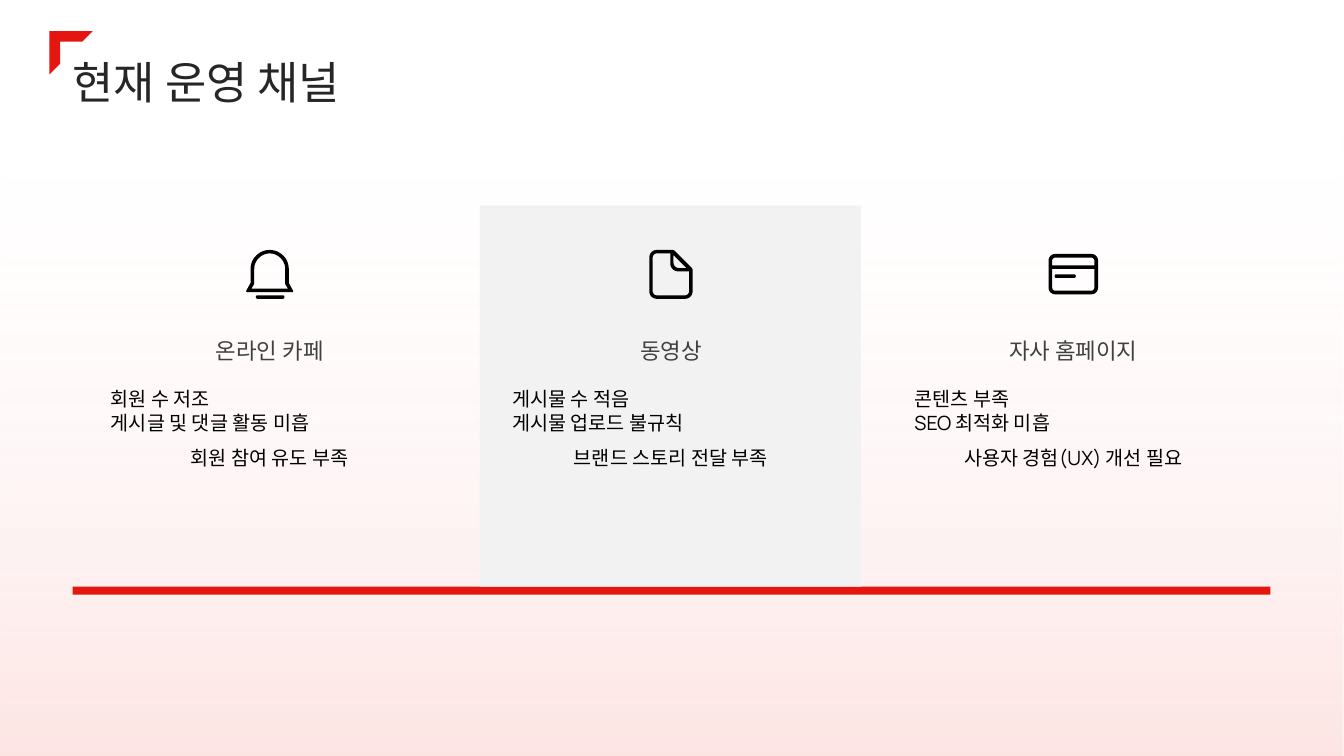
from dataclasses import dataclass
from math import hypot
from typing import Any, NamedTuple

from lxml import etree
from pptx import Presentation
from pptx.dml.color import RGBColor
from pptx.enum.shapes import MSO_SHAPE
from pptx.enum.text import MSO_ANCHOR, MSO_AUTO_SIZE, PP_ALIGN
from pptx.oxml.ns import qn
from pptx.util import Pt

PX = 9144
ICON_UNITS_PER_PX = 10
CURVE_STEPS = 12
CURVE_PULL = 0.55
TITLE_ONLY_LAYOUT = 5
RECTANGLE = MSO_SHAPE.RECTANGLE
HALF_FRAME = MSO_SHAPE.HALF_FRAME
TOP, MIDDLE = MSO_ANCHOR.TOP, MSO_ANCHOR.MIDDLE
LEFT, CENTER = PP_ALIGN.LEFT, PP_ALIGN.CENTER
NO_AUTOFIT = MSO_AUTO_SIZE.NONE


@dataclass(frozen=True)
class Theme:
    font: str = "Manrope"
    title_size: int = 32
    name_size: int = 16
    body_size: int = 14
    accent: str = "E5160F"
    panel: str = "F2F2F2"
    glow: str = "FCCFCD"
    white: str = "FFFFFF"
    black: str = "000000"
    title_color: str = "262626"
    name_color: str = "404040"


THEME = Theme()


class Area(NamedTuple):
    left: int
    top: int
    width: int
    height: int


class Corner(NamedTuple):
    x: int
    y: int
    radius: int = 0


class Line(NamedTuple):
    text: str
    size: int
    color: str
    align: Any
    spacing: float


@dataclass(frozen=True)
class Channel:
    name: str
    issues: tuple[str, ...]
    icon_left: int
    icon_top: int
    contours: list[list[Corner]]


PAGE = Area(0, 0, 1333, 750)
TITLE = Area(72, 53, 1188, 51)
TITLE_MARK = Area(49, 31, 43, 43)
BASE_BAR = Area(72, 582, 1188, 8)
PANEL = Area(476, 204, 378, 378)
FIRST_COLUMN, COLUMN_WIDTH, TWO_COLUMN_STEPS = 110, 315, 797
NAME_TOP, NAME_HEIGHT = 306, 79
ISSUES_TOP, ISSUES_HEIGHT = 384, 179


def rounded_box(left: int, top: int, right: int, bottom: int, radius: int) -> list[Corner]:
    return [Corner(x, y, radius) for x, y in
            ((left, top), (right, top), (right, bottom), (left, bottom))]


BELL = [
    rounded_box(98, 450, 382, 485, 17),
    [Corner(82, 35, 153), Corner(388, 35, 153), Corner(388, 338, 10),
     Corner(418, 385), Corner(52, 385), Corner(82, 338, 10)],
    [Corner(45, 0, 190), Corner(425, 0, 190), Corner(425, 328),
     Corner(476, 420, 22), Corner(-6, 420, 22), Corner(45, 328)],
]
SHEET = [
    [Corner(0, 0, 75), Corner(243, 0, 14), Corner(430, 187, 14),
     Corner(430, 485, 75), Corner(0, 485, 75)],
    [Corner(240, 52), Corner(370, 180), Corner(240, 180, 55)],
    [Corner(34, 34, 42), Corner(208, 34), Corner(208, 213, 80),
     Corner(395, 213), Corner(395, 451, 42), Corner(34, 451, 42)],
]
CARD = [
    rounded_box(60, 202, 270, 238, 17),
    [Corner(36, 148), Corner(454, 148), Corner(454, 364, 30), Corner(36, 364, 30)],
    [Corner(36, 36, 30), Corner(454, 36, 30), Corner(454, 112), Corner(36, 112)],
    rounded_box(0, 0, 490, 400, 65),
]

CHANNELS = [
    Channel("온라인 카페", ("회원 수 저조", "게시글 및 댓글 활동 미흡", "회원 참여 유도 부족"),
            244, 248, BELL),
    Channel("동영상", ("게시물 수 적음", "게시물 업로드 불규칙", "브랜드 스토리 전달 부족"),
            644, 248, SHEET),
    Channel("자사 홈페이지", ("콘텐츠 부족", "SEO 최적화 미흡", "사용자 경험(UX) 개선 필요"),
            1040, 252, CARD),
]


def apply(target: Any, values: dict[str, Any]) -> None:
    for name, value in values.items():
        setattr(target, name, value)


def emu(area: Area) -> list[int]:
    return [length * PX for length in area]


def paint(shape: Any, color: str) -> None:
    shape.shadow.inherit = False
    shape.line.fill.background()
    shape.fill.solid()
    shape.fill.fore_color.rgb = RGBColor.from_string(color)


def add_block(page: Any, kind: Any, area: Area, color: str) -> Any:
    shape = page.shapes.add_shape(kind, *emu(area))
    paint(shape, color)
    return shape


def add_backdrop(page: Any) -> None:
    shape = add_block(page, RECTANGLE, PAGE, THEME.white)
    shape.fill.gradient()
    shape.fill.gradient_angle = 90
    stops = ((0, THEME.glow), (0.88, THEME.white))
    for stop, (position, color) in zip(shape.fill.gradient_stops, stops):
        stop.position = position
        stop.color.rgb = RGBColor.from_string(color)
    for color_node, opacity in zip(shape.element.iter(qn("a:srgbClr")), (54000, 0)):
        etree.SubElement(color_node, qn("a:alpha")).set("val", str(opacity))


def write_lines(frame: Any, lines: list[Line], anchor: Any) -> None:
    apply(frame, {"word_wrap": True, "auto_size": NO_AUTOFIT, "vertical_anchor": anchor,
                  "margin_left": 0, "margin_top": 0, "margin_right": 0, "margin_bottom": 0})
    for index, line in enumerate(lines):
        para = frame.add_paragraph() if index else frame.paragraphs[0]
        apply(para, {"alignment": line.align, "line_spacing": line.spacing})
        span = para.add_run()
        span.text = line.text
        apply(span.font, {"name": THEME.font, "size": Pt(line.size)})
        span.font.color.rgb = RGBColor.from_string(line.color)


def add_text(page: Any, area: Area, lines: list[Line], anchor: Any) -> None:
    box = page.shapes.add_textbox(*emu(area))
    write_lines(box.text_frame, lines, anchor)


def toward(start: Corner, end: Corner, distance: float) -> tuple[float, float]:
    share = distance / hypot(end.x - start.x, end.y - start.y)
    return start.x + (end.x - start.x) * share, start.y + (end.y - start.y) * share


def outline(corners: list[Corner]) -> list[tuple[float, float]]:
    points: list[tuple[float, float]] = []
    for index, corner in enumerate(corners):
        if not corner.radius:
            points.append((corner.x, corner.y))
            continue
        before, after = corners[index - 1], corners[(index + 1) % len(corners)]
        handle = corner.radius * (1 - CURVE_PULL)
        controls = (toward(corner, before, corner.radius), toward(corner, before, handle),
                    toward(corner, after, handle), toward(corner, after, corner.radius))
        for step in range(CURVE_STEPS + 1):
            t = step / CURVE_STEPS
            weights = ((1 - t) ** 3, 3 * t * (1 - t) ** 2, 3 * t * t * (1 - t), t ** 3)
            points.append((sum(w * p[0] for w, p in zip(weights, controls)),
                           sum(w * p[1] for w, p in zip(weights, controls))))
    return points


def add_icon(page: Any, channel: Channel) -> None:
    first, *others = [outline(contour) for contour in channel.contours]
    builder = page.shapes.build_freeform(*first[0], scale=PX / ICON_UNITS_PER_PX)
    builder.add_line_segments(first[1:], close=True)
    for points in others:
        builder.move_to(*points[0])
        builder.add_line_segments(points[1:], close=True)
    paint(builder.convert_to_shape(channel.icon_left * PX, channel.icon_top * PX), THEME.black)


def add_channel(page: Any, index: int, channel: Channel) -> None:
    left = FIRST_COLUMN + index * TWO_COLUMN_STEPS // 2
    *opening, closing = channel.issues
    issues = [Line(text, THEME.body_size, THEME.black, LEFT, 1.0) for text in opening]
    issues.append(Line(closing, THEME.body_size, THEME.black, CENTER, 1.5))
    name = Line(channel.name, THEME.name_size, THEME.name_color, CENTER, 1.2)
    add_text(page, Area(left, ISSUES_TOP, COLUMN_WIDTH, ISSUES_HEIGHT), issues, TOP)
    add_text(page, Area(left, NAME_TOP, COLUMN_WIDTH, NAME_HEIGHT), [name], MIDDLE)
    add_icon(page, channel)


def add_title(page: Any, text: str) -> None:
    title = page.shapes.title
    apply(title, dict(zip(("left", "top", "width", "height"), emu(TITLE))))
    line = Line(text, THEME.title_size, THEME.title_color, LEFT, 1.1)
    write_lines(title.text_frame, [line], MIDDLE)
    title.element.getparent().append(title.element)


def main() -> None:
    deck = Presentation()
    apply(deck, {"slide_width": PAGE.width * PX, "slide_height": PAGE.height * PX})
    page = deck.slides.add_slide(deck.slide_layouts[TITLE_ONLY_LAYOUT])
    add_backdrop(page)
    add_block(page, RECTANGLE, BASE_BAR, THEME.accent)
    add_block(page, RECTANGLE, PANEL, THEME.panel)
    for index, channel in enumerate(CHANNELS):
        add_channel(page, index, channel)
    add_title(page, "현재 운영 채널")
    mark = add_block(page, HALF_FRAME, TITLE_MARK, THEME.accent)
    mark.adjustments[0], mark.adjustments[1] = 0.24, 0.25
    deck.save("out.pptx")


if __name__ == "__main__":
    main()
